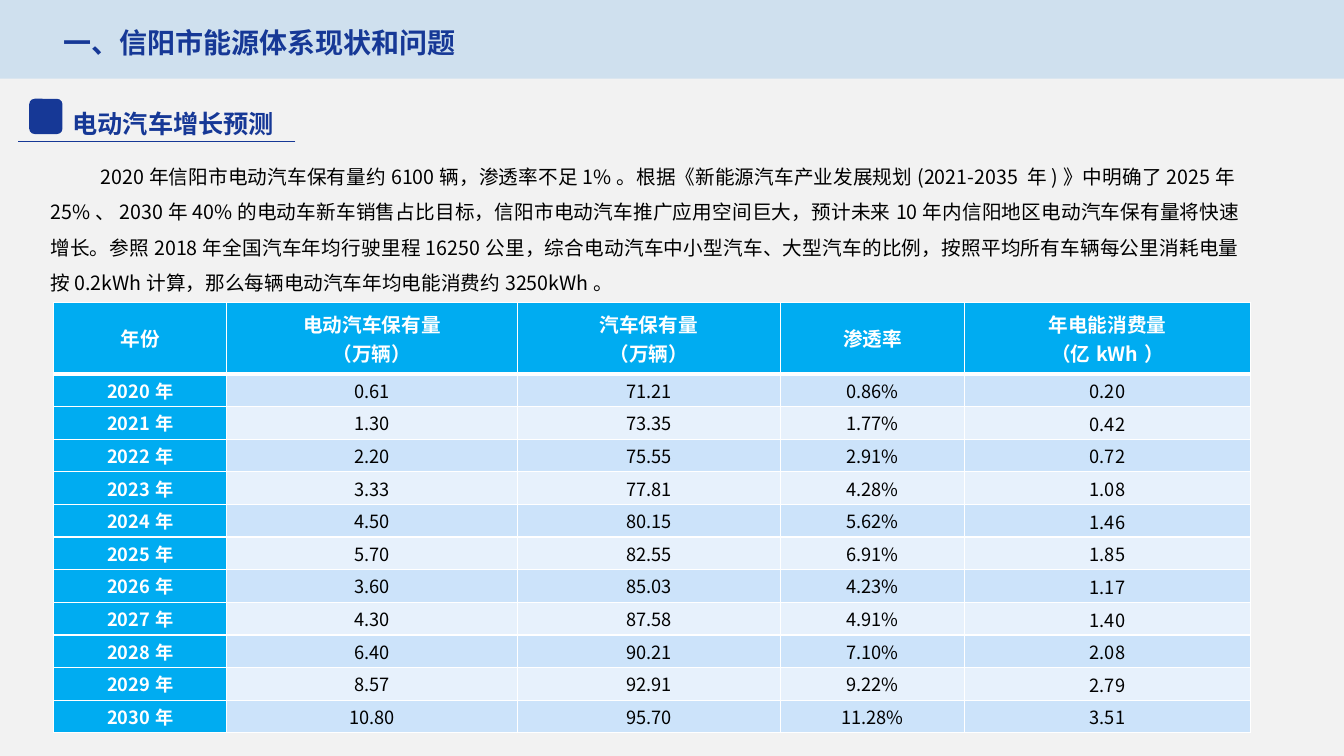
from dataclasses import dataclass

from lxml import etree
from pptx import Presentation
from pptx import util as u
from pptx.dml.color import RGBColor
from pptx.enum import shapes, text
from pptx.oxml import ns


@dataclass(frozen=True)
class Theme:
    font: str = "Noto Sans CJK SC"
    back: str = "F2F2F2"
    band: str = "CFE0EE"
    navy: str = "163896"
    blue: str = "00ACF1"
    dark: str = "CCE3FA"
    light: str = "E7F1FC"
    white: str = "FFFFFF"
    black: str = "000000"
    title: int = 20
    head: int = 18
    body: int = 14
    cell: int = 13


def paint(fill, color):
    fill.solid()
    fill.fore_color.rgb = RGBColor.from_string(color)


class Deck:
    def __init__(self, theme):
        self.theme = theme
        self.file = Presentation()
        self.file.slide_width = u.Inches(13.33)
        self.file.slide_height = u.Inches(7.5)
        self.slide = self.file.slides.add_slide(self.file.slide_layouts[6])
        paint(self.slide.background.fill, theme.back)

    def style(self, frame, words, size, color, bold=False, align=None):
        frame.text = words
        for para in frame.paragraphs:
            para.alignment = align
            for run in para.runs:
                run.font.size = u.Pt(size)
                run.font.bold = bold
                run.font.name = self.theme.font
                run.font.color.rgb = RGBColor.from_string(color)
                east = etree.SubElement(run.font._element, ns.qn("a:ea"))
                east.set("typeface", self.theme.font)

    def shape(self, kind, box, color):
        item = self.slide.shapes.add_shape(kind, *map(u.Inches, box))
        item.shadow.inherit = False
        paint(item.fill, color)
        item.line.fill.background()

    def text(self, box, words, size, color, bold=False, align=None, wrap=True,
             left=0, first=0, space=None):
        frame = self.slide.shapes.add_textbox(*map(u.Inches, box)).text_frame
        frame.word_wrap = wrap
        self.style(frame, words, size, color, bold, align)
        para = frame.paragraphs[0]
        para.line_spacing = space
        props = para._p.get_or_add_pPr()
        props.set("marL", str(u.Inches(left)))
        props.set("indent", str(u.Inches(first)))

    def line(self, start, end, color, width):
        item = self.slide.shapes.add_connector(
            shapes.MSO_CONNECTOR.STRAIGHT, *map(u.Inches, start + end))
        item.line.color.rgb = RGBColor.from_string(color)
        item.line.width = u.Pt(width)
        etree.SubElement(item._element.spPr, ns.qn("a:effectLst"))

    def edge(self, cell, widths):
        props = cell._tc.get_or_add_tcPr()
        for spot, (side, width) in enumerate(zip("LRTB", widths)):
            line = etree.Element(ns.qn("a:ln" + side), w=str(u.Pt(width)))
            fill = etree.SubElement(line, ns.qn("a:solidFill"))
            etree.SubElement(fill, ns.qn("a:srgbClr"), val=self.theme.white)
            props.insert(spot, line)

    def table(self, box, cols, top, rows):
        look = self.theme
        grid = self.slide.shapes.add_table(
            len(rows), len(cols), *map(u.Inches, box)).table
        for col, width in zip(grid.columns, cols):
            col.width = u.Inches(width)
        rest = (box[3] - top) / (len(rows) - 1)
        for r, row in enumerate(rows):
            grid.rows[r].height = u.Inches(rest if r else top)
            for c, words in enumerate(row):
                cell = grid.cell(r, c)
                key = r == 0 or c == 0
                last = r > 0 and c == len(cols) - 1
                side = u.Inches(0.01 if last else 0.07)
                cell.margin_left = cell.margin_right = side
                cell.margin_top = u.Inches(0.01 if last else 0)
                cell.margin_bottom = 0
                cell.vertical_anchor = text.MSO_ANCHOR.MIDDLE
                paint(cell.fill, look.blue if key else
                      look.dark if r % 2 else look.light)
                self.style(cell.text_frame, words,
                           look.cell if r else look.body,
                           look.white if key else look.black,
                           key, text.PP_ALIGN.CENTER)
                self.edge(cell, (1, 1, 3 if r == 1 else 1, 1 if r else 3))


HEADS = ("年份", "电动汽车保有量\n（万辆）", "汽车保有量\n（万辆）", "渗透率",
         "年电能消费量\n（亿kWh）")
DATA = (
    ("0.61", "71.21", "0.86%", "0.20"),
    ("1.30", "73.35", "1.77%", "0.42"),
    ("2.20", "75.55", "2.91%", "0.72"),
    ("3.33", "77.81", "4.28%", "1.08"),
    ("4.50", "80.15", "5.62%", "1.46"),
    ("5.70", "82.55", "6.91%", "1.85"),
    ("3.60", "85.03", "4.23%", "1.17"),
    ("4.30", "87.58", "4.91%", "1.40"),
    ("6.40", "90.21", "7.10%", "2.08"),
    ("8.57", "92.91", "9.22%", "2.79"),
    ("10.80", "95.70", "11.28%", "3.51"),
)
BODY = (
    "2020年信阳市电动汽车保有量约6100辆，渗透率不足1%。"
    "根据《新能源汽车产业发展规划(2021-2035 年)》中明确了2025年25%、2030年40%的电动车新车销售占比目标，"
    "信阳市电动汽车推广应用空间巨大，预计未来10年内信阳地区电动汽车保有量将快速增长。"
    "参照2018年全国汽车年均行驶里程16250公里，综合电动汽车中小型汽车、大型汽车的比例，"
    "按照平均所有车辆每公里消耗电量按0.2kWh计算，那么每辆电动汽车年均电能消费约3250kWh。"
)


def main():
    look = Theme()
    deck = Deck(look)
    just = text.PP_ALIGN.JUSTIFY
    deck.shape(shapes.MSO_SHAPE.RECTANGLE, (0, 0, 13.33, 0.78), look.band)
    deck.text((0.4, 1.47, 11.99, 1.51), BODY, look.body, look.black,
              align=just, first=0.5, space=1.5)
    rows = [HEADS] + [(f"{year}年", *vals) for year, vals in enumerate(DATA, 2020)]
    deck.table((0.53, 3, 11.87, 4.27), (1.72, 2.88, 2.61, 1.83, 2.83), 0.71, rows)
    deck.text((0.53, 0.2, 4.13, 0.44), "一、信阳市能源体系现状和问题",
              look.title, look.navy, bold=True, wrap=False)
    deck.text((0.31, 0.88, 4.05, 0.48), "电动汽车增长预测", look.head, look.navy,
              bold=True, align=just, left=0.31, space=1.5)
    deck.line((2.93, 1.4), (0.18, 1.4), look.navy, 0.75)
    deck.shape(shapes.MSO_SHAPE.ROUNDED_RECTANGLE, (0.29, 0.98, 0.33, 0.35), look.navy)
    deck.file.save("out.pptx")


if __name__ == "__main__":
    main()
